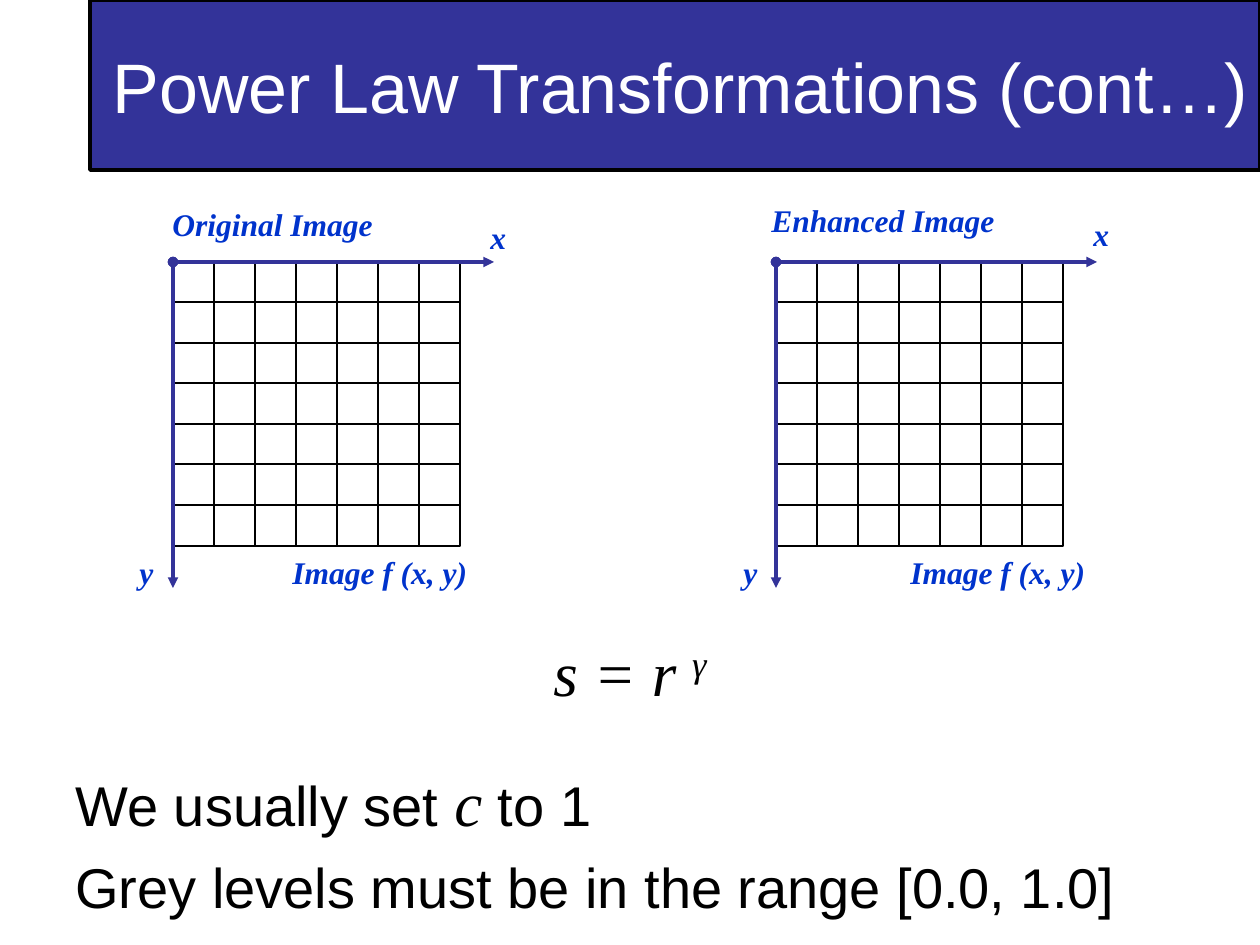
from lxml import etree
from pptx import Presentation
from pptx import util as u
from pptx.dml.color import RGBColor
from pptx.enum import shapes, text
from pptx.oxml import ns

EMU_PER_INCH = 914400
PX_PER_INCH = 126
NAVY = RGBColor(0x33, 0x33, 0x99)
BLUE = RGBColor(0x00, 0x33, 0xCC)
BLACK = RGBColor(0x00, 0x00, 0x00)
WHITE = RGBColor(0xFF, 0xFF, 0xFF)

TITLE = {"name": "Arial", "size": u.Pt(40)}
BODY = {"name": "Arial", "size": u.Pt(32)}
MATH = {"name": "Times New Roman", "size": u.Pt(36), "italic": True}
LABEL = {"name": "Times New Roman", "size": u.Pt(18), "bold": True, "italic": True}

GRID_TOP = 262
GRID_COUNT = 7
CELL = 41
X_AXIS_LENGTH = 321
Y_AXIS_LENGTH = 326


def px(length):
    return u.Emu(round(length * EMU_PER_INCH / PX_PER_INCH))


def box(*lengths):
    return [px(length) for length in lengths]


def add_run(paragraph, wording, font_format, color):
    run = paragraph.add_run()
    run.text = wording
    for name, value in font_format.items():
        setattr(run.font, name, value)
    run.font.color.rgb = color
    return run


def add_rectangle(parent, place, fill, line_width):
    shape = parent.add_shape(shapes.MSO_SHAPE.RECTANGLE, *box(*place))
    shape.shadow.inherit = False
    shape.fill.solid()
    shape.fill.fore_color.rgb = fill
    shape.line.color.rgb = BLACK
    shape.line.width = u.Pt(line_width)
    return shape


def add_text_box(parent, place, wrap=False):
    frame = parent.add_textbox(*box(*place)).text_frame
    frame.word_wrap = wrap
    if not wrap:
        frame.auto_size = text.MSO_AUTO_SIZE.SHAPE_TO_FIT_TEXT
    return frame


def add_axis(parent, left, top, right, bottom):
    axis = parent.add_connector(
        shapes.MSO_CONNECTOR.STRAIGHT, *box(left, top, right, bottom))
    axis.line.color.rgb = NAVY
    axis.line.width = u.Pt(2)
    line = axis.line._get_or_add_ln()
    for end, kind in (("a:headEnd", "oval"), ("a:tailEnd", "triangle")):
        etree.SubElement(line, ns.qn(end)).set("type", kind)
    etree.SubElement(axis._element.spPr, ns.qn("a:effectLst"))


def add_image_grid(slide, left, labels):
    group = slide.shapes.add_group_shape().shapes
    for row in range(GRID_COUNT):
        for column in range(GRID_COUNT):
            top = GRID_TOP + row * 81 // 2
            add_rectangle(group, (left + column * CELL, top, CELL, CELL), WHITE, 1)
    add_axis(group, left, GRID_TOP, left + X_AXIS_LENGTH, GRID_TOP)
    add_axis(group, left, GRID_TOP, left, GRID_TOP + Y_AXIS_LENGTH)
    for wording, place in labels:
        frame = add_text_box(group, place)
        add_run(frame.paragraphs[0], wording, LABEL, BLUE)


def add_title(slide):
    shape = add_rectangle(slide.shapes, (90, 0, 1170, 170), NAVY, 2)
    frame = shape.text_frame
    frame.word_wrap = True
    frame.vertical_anchor = text.MSO_ANCHOR.MIDDLE
    paragraph = frame.paragraphs[0]
    paragraph.alignment = text.PP_ALIGN.RIGHT
    add_run(paragraph, "Power Law Transformations (cont…)", TITLE, WHITE)


def add_body(slide):
    frame = add_text_box(slide.shapes, (63, 757, 1134, 188), wrap=True)
    first = frame.paragraphs[0]
    for wording, font_format in (("We usually set ", BODY), ("c", MATH), (" to 1", BODY)):
        add_run(first, wording, font_format, BLACK)
    second = frame.add_paragraph()
    second.space_before = u.Pt(8)
    add_run(second, "Grey levels must be in the range [0.0, 1.0]", BODY, BLACK)


def add_formula(slide):
    paragraph = add_text_box(slide.shapes, (541, 627, 178, 88)).paragraphs[0]
    add_run(paragraph, "s = r ", MATH, BLACK)
    exponent = add_run(paragraph, "γ", MATH, BLACK)
    exponent._r.get_or_add_rPr().set("baseline", "30000")


def main():
    presentation = Presentation()
    presentation.slide_width, presentation.slide_height = box(1260, 945)
    slide = presentation.slides.add_slide(presentation.slide_layouts[6])
    add_title(slide)
    add_body(slide)
    add_image_grid(slide, 173, [
        ("Original Image", (160, 199, 226, 50)),
        ("x", (478, 212, 40, 50)),
        ("y", (127, 547, 39, 50)),
        ("Image f (x, y)", (280, 547, 200, 50)),
    ])
    add_image_grid(slide, 776, [
        ("Enhanced Image", (759, 195, 248, 50)),
        ("x", (1081, 209, 40, 50)),
        ("y", (731, 547, 39, 50)),
        ("Image f (x, y)", (898, 547, 200, 50)),
    ])
    add_formula(slide)
    presentation.save("out.pptx")


if __name__ == "__main__":
    main()
